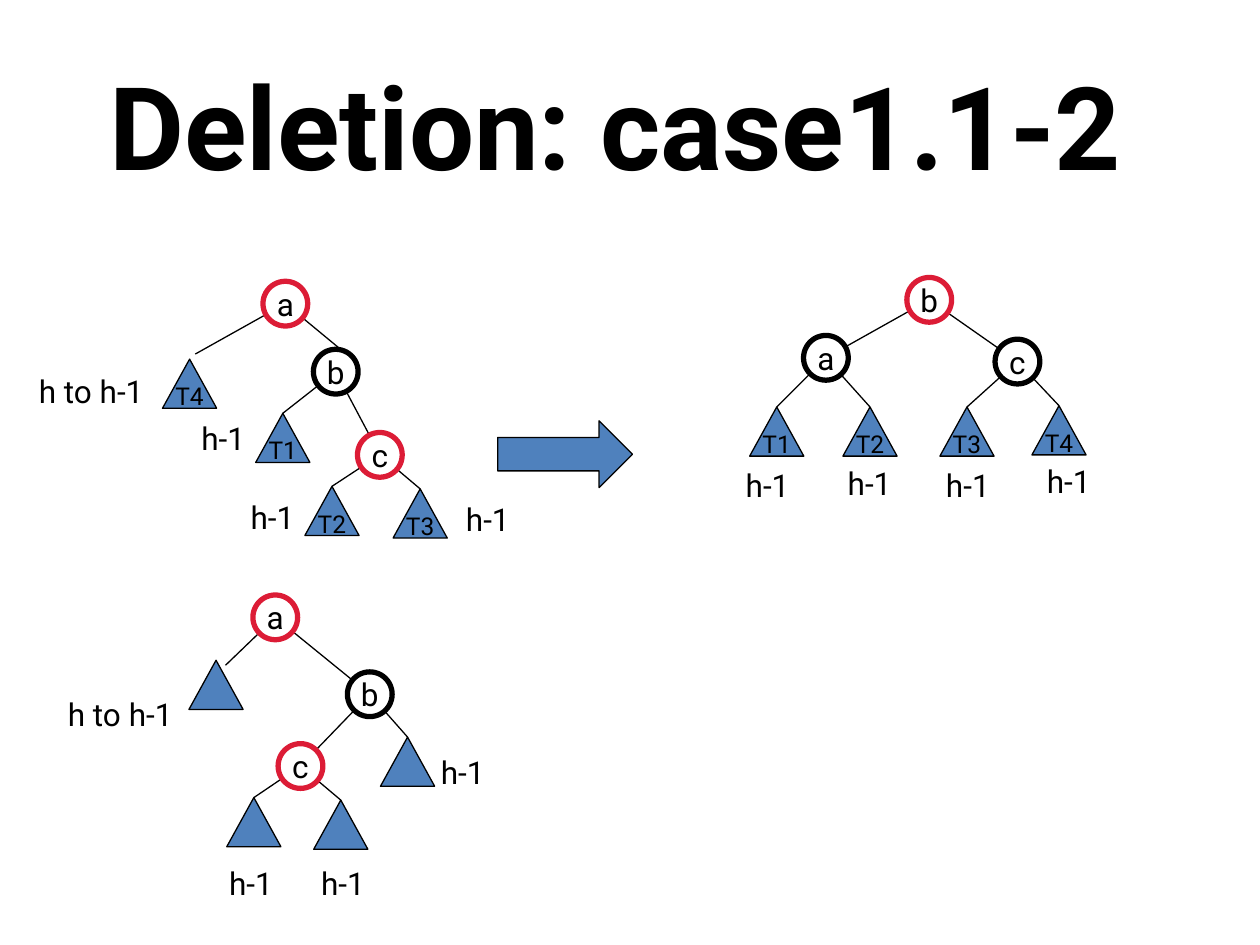
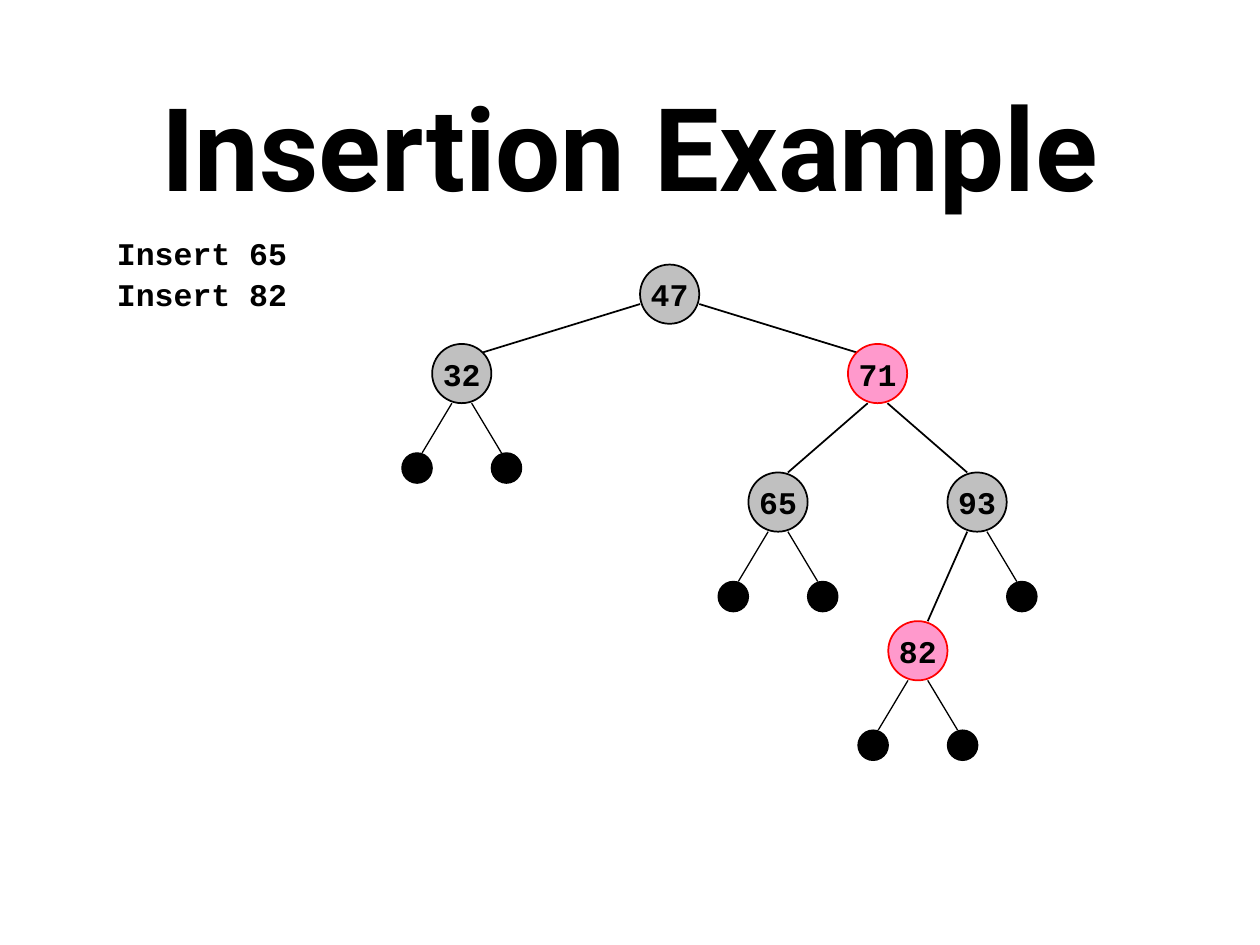
import dataclasses

import pptx
import pptx.dml.color
import pptx.enum.shapes
import pptx.enum.text
import pptx.oxml.ns
import pptx.util
from lxml import etree

COLUMNS, ROWS = 100, 75
CELL = pptx.util.Inches(0.1)
BLACK, WHITE, RED, BLUE = "000000", "FFFFFF", "DC1C36", "4F81BD"
GREY, PINK, BRIGHT_RED = "C0C0C0", "FF99CC", "FF0000"
SANS, MONO = "Roboto", "Courier New"
SHAPES = pptx.enum.shapes.MSO_SHAPE
ALIGN = pptx.enum.text.PP_ALIGN
ANCHOR = pptx.enum.text.MSO_ANCHOR

RING = 3.55
TRIANGLE_WIDTH, TRIANGLE_HEIGHT = 4.3, 3.9
KEY_SIZE, DOT_SIZE = 4.7, 2.4
THIN, MEDIUM, THICK = 0.75, 1, 3


@dataclasses.dataclass
class Subtree:
    """A triangle given by its apex, with its height label."""
    x: float
    y: float
    name: str
    height: str
    label_at: tuple
    join: tuple = None


@dataclasses.dataclass
class Node:
    """A ringed node given by its centre, with its children."""
    x: float
    y: float
    name: str
    ring: str
    children: tuple
    join: tuple = None


@dataclasses.dataclass
class Key:
    """A numbered node; a child of None is an empty leaf."""
    x: float
    y: float
    name: str
    red: bool = False
    children: tuple = (None, None)


def color(value):
    """Return the colour for a hex string."""
    return pptx.dml.color.RGBColor.from_string(value)


def cells(*lengths):
    """Turn grid lengths into slide units."""
    return [round(length * CELL) for length in lengths]


def write(shape, text, size=18, font=SANS, bold=False, align=ALIGN.LEFT,
          anchor=ANCHOR.TOP, wrap=False, inset=None):
    """Put formatted text into a shape."""
    frame = shape.text_frame
    frame.word_wrap = wrap
    frame.vertical_anchor = anchor
    if inset is not None:
        frame.margin_left = frame.margin_right = inset
        frame.margin_top = frame.margin_bottom = inset
    paragraph = frame.paragraphs[0]
    paragraph.alignment = align
    run = paragraph.add_run()
    run.text = text
    run.font.size = pptx.util.Pt(size)
    run.font.name = font
    run.font.bold = bold
    run.font.color.rgb = color(BLACK)


def add_text(slide, text, left, top, width, height, **text_format):
    """Add a text box on the grid."""
    box = slide.shapes.add_textbox(*cells(left, top, width, height))
    write(box, text, **text_format)


def add_title(slide, text, top):
    """Add the large centred title."""
    add_text(slide, text, 5, top, COLUMNS - 10, 12.5, size=66, bold=True,
             align=ALIGN.CENTER, anchor=ANCHOR.MIDDLE, wrap=True)


def add_figure(slide, kind, left, top, width, height, fill, line=BLACK,
               line_width=THIN, text="", **text_format):
    """Add a preset shape with optional centred text."""
    shape = slide.shapes.add_shape(kind, *cells(left, top, width, height))
    shape.shadow.inherit = False
    shape.fill.solid()
    shape.fill.fore_color.rgb = color(fill)
    shape.line.color.rgb = color(line)
    shape.line.width = pptx.util.Pt(line_width)
    if text:
        write(shape, text, align=ALIGN.CENTER, anchor=ANCHOR.MIDDLE, inset=0,
              **text_format)


def add_circle(slide, x, y, size, fill, **figure_format):
    """Add a circle around a centre."""
    add_figure(slide, SHAPES.OVAL, x - size / 2, y - size / 2, size, size,
               fill, **figure_format)


def add_edge(slide, start, end, width=THIN):
    """Add a plain straight line."""
    edge = slide.shapes.add_connector(
        pptx.enum.shapes.MSO_CONNECTOR.STRAIGHT, *cells(*start, *end))
    edge.line.color.rgb = color(BLACK)
    edge.line.width = pptx.util.Pt(width)
    etree.SubElement(edge._element.spPr, pptx.oxml.ns.qn("a:effectLst"))


def draw_subtree(slide, subtree):
    """Draw a triangle and its height label."""
    add_figure(slide, SHAPES.FLOWCHART_EXTRACT,
               subtree.x - TRIANGLE_WIDTH / 2, subtree.y,
               TRIANGLE_WIDTH, TRIANGLE_HEIGHT, BLUE,
               text=subtree.name, size=14)
    label_width = 5.6 if subtree.height == "h-1" else 10.8
    add_text(slide, subtree.height, *subtree.label_at, label_width, 4)


def draw_tree(slide, node):
    """Draw a ringed node above its edges and children."""
    for child in node.children:
        add_edge(slide, (node.x, node.y), child.join or (child.x, child.y))
    for child in node.children:
        draw = draw_tree if isinstance(child, Node) else draw_subtree
        draw(slide, child)
    add_circle(slide, node.x, node.y, RING, WHITE, line=node.ring,
               line_width=THICK, text=node.name)


def draw_keys(slide, key, is_root=False):
    """Draw a numbered node with its edges, children and empty leaves."""
    radius, dot_radius = KEY_SIZE / 2, DOT_SIZE / 2
    for side, child in zip((-1, 1), key.children):
        start = (key.x + side * radius / 3, key.y + radius)
        if child is None:
            x, y = key.x + side * 3.55, key.y + 7.5
            add_edge(slide, start,
                     (x - side * dot_radius / 3, y - dot_radius))
            add_circle(slide, x, y, DOT_SIZE, BLACK)
            continue
        end = (child.x - side * radius / 3, child.y - radius)
        if is_root:
            start = (key.x + side * radius, key.y + radius / 3)
            end = (child.x - side * radius * 0.66, child.y - radius * 0.7)
        elif abs(child.x - key.x) < KEY_SIZE:
            end = (child.x, child.y - radius)
        add_edge(slide, start, end, MEDIUM)
        draw_keys(slide, child)
    add_circle(slide, key.x, key.y, KEY_SIZE, PINK if key.red else GREY,
               line=BRIGHT_RED if key.red else BLACK, line_width=MEDIUM,
               text=key.name, font=MONO, bold=True)


def build_deletion(slide):
    """Build the deletion slide: two starting trees and the result."""
    add_title(slide, "Deletion: case1.1-2 ", 3.6)
    right_right = Node(22.65, 24.1, "a", RED, (
        Subtree(15.05, 28.5, "T4", "h to h-1", (2.1, 29), (15.5, 28.1)),
        Node(26.65, 29.5, "b", BLACK, (
            Subtree(22.45, 32.8, "T1", "h-1", (15, 32.8)),
            Node(30.15, 36.1, "c", RED, (
                Subtree(26.35, 38.6, "T2", "h-1", (18.9, 39)),
                Subtree(33.35, 38.8, "T3", "h-1", (36, 39.2)))),
        ), (27, 27.7))))
    balanced = Node(73.75, 23.8, "b", RED, (
        Node(65.55, 28.4, "a", BLACK, (
            Subtree(61.65, 32.3, "T1", "h-1", (58.2, 36.5)),
            Subtree(69.05, 32.3, "T2", "h-1", (66.3, 36.3)))),
        Node(80.75, 28.7, "c", BLACK, (
            Subtree(76.75, 32.3, "T3", "h-1", (74.1, 36.5)),
            Subtree(84.05, 32.2, "T4", "h-1", (82.1, 36.2))))))
    right_left = Node(21.85, 49, "a", RED, (
        Subtree(17.15, 52.4, "", "h to h-1", (4.4, 54.7), (17.9, 52.8)),
        Node(29.35, 55.1, "b", BLACK, (
            Node(23.85, 60.8, "c", RED, (
                Subtree(20.15, 63.3, "", "h-1", (17.2, 68.1)),
                Subtree(27.05, 63.5, "", "h-1", (24.5, 68.1)))),
            Subtree(32.35, 58.5, "", "h-1", (34, 59.3))))))
    for tree in (right_right, balanced, right_left):
        draw_tree(slide, tree)
    add_figure(slide, SHAPES.RIGHT_ARROW, 39.5, 33.4, 10.7, 5.3, BLUE)


def build_insertion(slide):
    """Build the insertion slide: the steps and the resulting tree."""
    add_title(slide, "Insertion Example", 5.3)
    for row, step in enumerate(("Insert 65", "Insert 82")):
        add_text(slide, step, 8.3, 18.1 + row * 3.2, 26, 4, font=MONO,
                 bold=True, wrap=True)
    inserted = Key(72.85, 51.65, "82", red=True)
    right = Key(69.65, 29.65, "71", red=True, children=(
        Key(61.75, 39.85, "65"),
        Key(77.55, 39.85, "93", children=(inserted, None))))
    root = Key(53.15, 23.35, "47", children=(Key(36.65, 29.65, "32"), right))
    draw_keys(slide, root, is_root=True)


def main():
    """Build both slides and save them."""
    presentation = pptx.Presentation()
    presentation.slide_width, presentation.slide_height = cells(COLUMNS, ROWS)
    blank = presentation.slide_layouts[6]
    for build in (build_deletion, build_insertion):
        build(presentation.slides.add_slide(blank))
    presentation.save("out.pptx")


if __name__ == "__main__":
    main()
